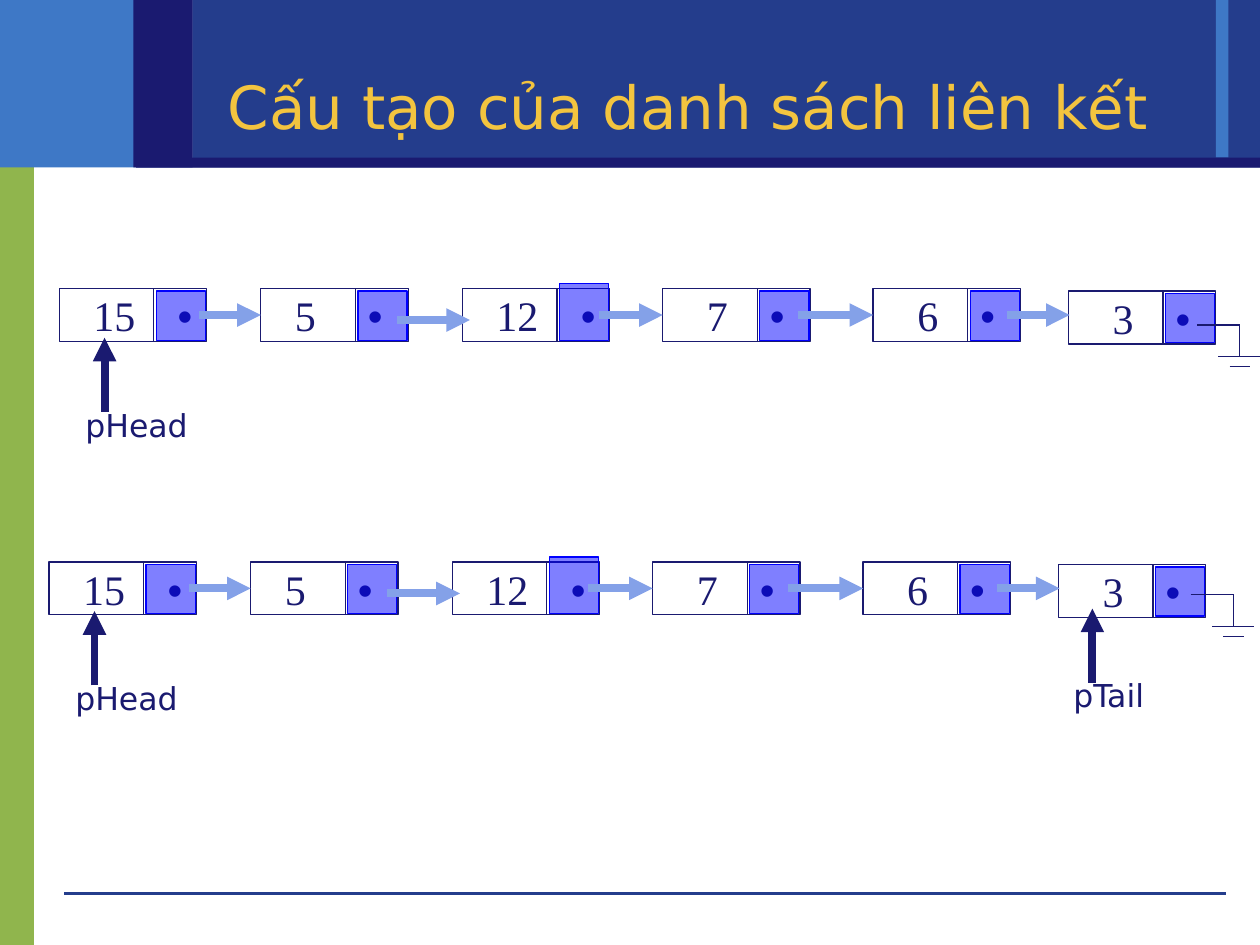
from dataclasses import dataclass

from lxml.etree import SubElement
from pptx import Presentation
from pptx.dml.color import RGBColor
from pptx.enum.shapes import MSO_CONNECTOR, MSO_SHAPE
from pptx.enum.text import MSO_ANCHOR, PP_ALIGN
from pptx.oxml.ns import qn
from pptx.util import Inches, Pt


@dataclass(frozen=True)
class Theme:
    navy: str = "1A1A70"
    blue: str = "243D8C"
    sky: str = "3E78C6"
    green: str = "90B54D"
    gold: str = "F3C43F"
    pointer: str = "0000FF"
    link: str = "84A1E8"
    sans: str = "DejaVu Sans"
    serif: str = "Times New Roman"
    bullet: str = "Arial"
    title_size: float = 34
    value_size: float = 24
    label_size: float = 18
    thin: float = 0.75
    thick: float = 4.5


@dataclass(frozen=True)
class Node:
    """A list node, placed relative to the list's top left corner."""
    value: str
    left: float
    indent: float
    dot_tab: float
    drop: float = 0
    raised: float = 0


@dataclass(frozen=True)
class Link:
    start: float
    length: float
    drop: float = 0


NODE_WIDTH, NODE_HEIGHT, VALUE_WIDTH = 1.17, 0.42, 0.75
NODES = [
    Node("15", 0, 0.17, 0.67),
    Node("5", 1.6, 0.17, 0.58),
    Node("12", 3.2, 0.17, 0.67, raised=0.06),
    Node("7", 4.79, 0.25, 0.5),
    Node("6", 6.46, 0.25, 0.5),
    Node("3", 8.01, 0.25, 0.5, drop=0.02),
]
LINKS = [
    Link(1.11, 0.5), Link(2.68, 0.58, drop=0.04), Link(4.28, 0.5),
    Link(5.86, 0.58), Link(7.52, 0.5),
]


class SlideBuilder:
    def __init__(self, slide, theme):
        self.slide = slide
        self.theme = theme

    def rectangle(self, left, top, width, height, fill=None, line=None, opacity=None):
        shape = self.slide.shapes.add_shape(
            MSO_SHAPE.RECTANGLE, Inches(left), Inches(top), Inches(width), Inches(height))
        shape.shadow.inherit = False
        if fill:
            shape.fill.solid()
            shape.fill.fore_color.rgb = RGBColor.from_string(fill)
        else:
            shape.fill.background()
        if opacity is not None:
            color = shape._element.spPr.find(qn("a:solidFill"))[0]
            SubElement(color, qn("a:alpha")).set("val", str(opacity * 1000))
        if line:
            shape.line.color.rgb = RGBColor.from_string(line)
            shape.line.width = Pt(self.theme.thin)
        else:
            shape.line.fill.background()
        return shape

    def line(self, start, end, color, width, arrow=False, shapes=None):
        shapes = self.slide.shapes if shapes is None else shapes
        connector = shapes.add_connector(
            MSO_CONNECTOR.STRAIGHT, *(Inches(value) for value in (*start, *end)))
        connector.line.color.rgb = RGBColor.from_string(color)
        connector.line.width = Pt(width)
        if arrow:
            SubElement(connector.line._get_or_add_ln(), qn("a:tailEnd")).set("type", "triangle")
        SubElement(connector._element.spPr, qn("a:effectLst"))
        return connector

    def format_run(self, run, font, size, color):
        run.font.name = font
        run.font.size = Pt(size)
        run.font.color.rgb = RGBColor.from_string(color)

    def text(self, left, top, width, height, content, font, size, color):
        box = self.slide.shapes.add_textbox(
            Inches(left), Inches(top), Inches(width), Inches(height))
        frame = box.text_frame
        frame.word_wrap = True
        frame.text = content
        self.format_run(frame.paragraphs[0].runs[0], font, size, color)
        return frame

    def title(self, content):
        theme = self.theme
        frame = self.text(1.5, 0.51, 7.92, 0.66, content,
                          theme.sans, theme.title_size, theme.gold)
        frame.vertical_anchor = MSO_ANCHOR.MIDDLE
        frame.paragraphs[0].alignment = PP_ALIGN.CENTER

    def node_text(self, left, top, node):
        """Write the value, then the pointer dot at a tab stop."""
        theme = self.theme
        frame = self.text(left, top, 1.15, 0.5, node.value + "\t",
                          theme.serif, theme.value_size, theme.navy)
        frame.margin_left = Inches(0.1 + node.indent)
        frame.margin_right = 0
        paragraph = frame.paragraphs[0]
        dot = paragraph.add_run()
        dot.text = "•"
        self.format_run(dot, theme.bullet, theme.value_size, theme.navy)
        tabs = SubElement(paragraph._p.get_or_add_pPr(), qn("a:tabLst"))
        tab = SubElement(tabs, qn("a:tab"))
        tab.set("pos", str(Inches(node.dot_tab)))
        tab.set("algn", "l")

    def node(self, list_left, list_top, node):
        theme = self.theme
        left, top = list_left + node.left, list_top + node.drop
        box = self.rectangle(left, top, NODE_WIDTH, NODE_HEIGHT, line=theme.navy)
        divider = left + VALUE_WIDTH
        self.line((divider, top), (divider, top + NODE_HEIGHT), theme.navy, theme.thin)
        self.node_text(left, top - 0.04, node)
        self.rectangle(divider + 0.02, top + 0.02 - node.raised, 0.39, 0.39 + node.raised,
                       theme.pointer, theme.pointer, opacity=50)
        return box

    def link(self, list_left, list_top, link, node, box):
        """Draw an arrow, joined to the node's box when both are level."""
        start, y = list_left + link.start, list_top + NODE_HEIGHT / 2 + link.drop
        arrow = self.line((start, y), (start + link.length, y),
                          self.theme.link, self.theme.thick, arrow=True)
        if link.drop == node.drop:
            arrow.end_connect(box, 1)

    def linked_list(self, left, top):
        boxes = [self.node(left, top, node) for node in NODES]
        for link, node, box in zip(LINKS, NODES[1:], boxes[1:]):
            self.link(left, top, link, node, box)

    def pointer(self, name, x, list_top):
        theme = self.theme
        self.text(x - 0.25, list_top + 0.88, 1.17, 0.4, name,
                  theme.sans, theme.label_size, theme.navy)
        self.line((x, list_top + 0.98), (x, list_top + 0.39),
                  theme.navy, theme.thick, arrow=True)

    def ground(self, x, y):
        """Draw the end-of-list symbol around its corner point."""
        group = self.slide.shapes.add_group_shape()
        for start, end in (
            ((x - 0.34, y), (x, y)),
            ((x, y), (x, y + 0.25)),
            ((x - 0.17, y + 0.25), (x + 0.16, y + 0.25)),
            ((x - 0.08, y + 0.33), (x + 0.08, y + 0.33)),
        ):
            self.line(start, end, self.theme.navy, self.theme.thin, shapes=group.shapes)

    def background(self):
        theme = self.theme
        self.rectangle(0, 1.07, 0.27, 6.43, theme.green)
        self.rectangle(0, 0, 1.53, 1.33, theme.sky)
        self.rectangle(1.53, 0, 8.47, 1.33, theme.blue)
        self.rectangle(9.65, 0, 0.1, 1.25, theme.sky)
        self.line((0.51, 7.09), (9.73, 7.09), theme.blue, 0)
        self.rectangle(1.08, 1.25, 8.92, 0.08, theme.navy)
        self.rectangle(1.06, 0, 0.47, 1.33, theme.navy)


def main():
    presentation = Presentation()
    presentation.slide_width, presentation.slide_height = Inches(10), Inches(7.5)
    slide = presentation.slides.add_slide(presentation.slide_layouts[6])
    builder = SlideBuilder(slide, Theme())
    builder.background()
    builder.title("Cấu tạo của danh sách liên kết")
    for left, top in ((0.47, 2.29), (0.39, 4.46)):
        builder.linked_list(left, top)
        builder.pointer("pHead", left + 0.36, top)
    builder.pointer("pTail", 8.67, 4.44)
    builder.ground(9.84, 2.58)
    builder.ground(9.79, 4.72)
    presentation.save("out.pptx")


if __name__ == "__main__":
    main()
